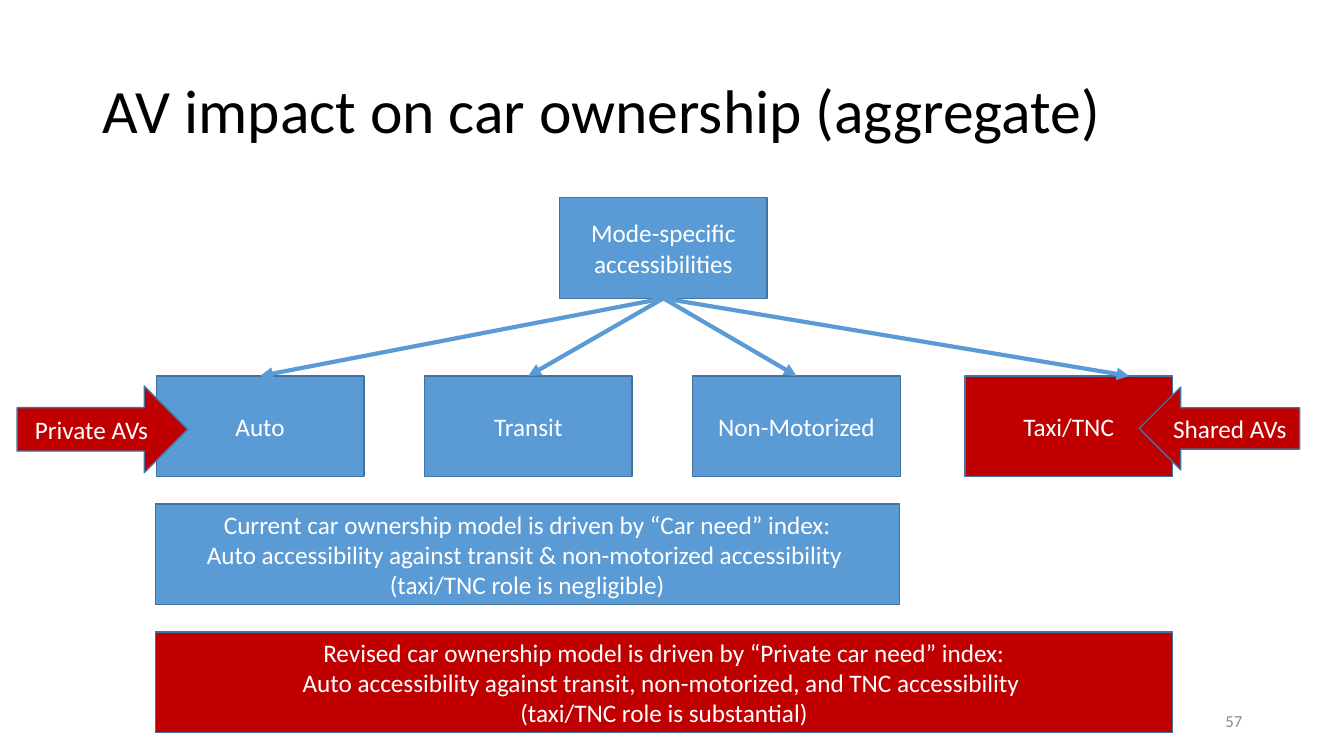
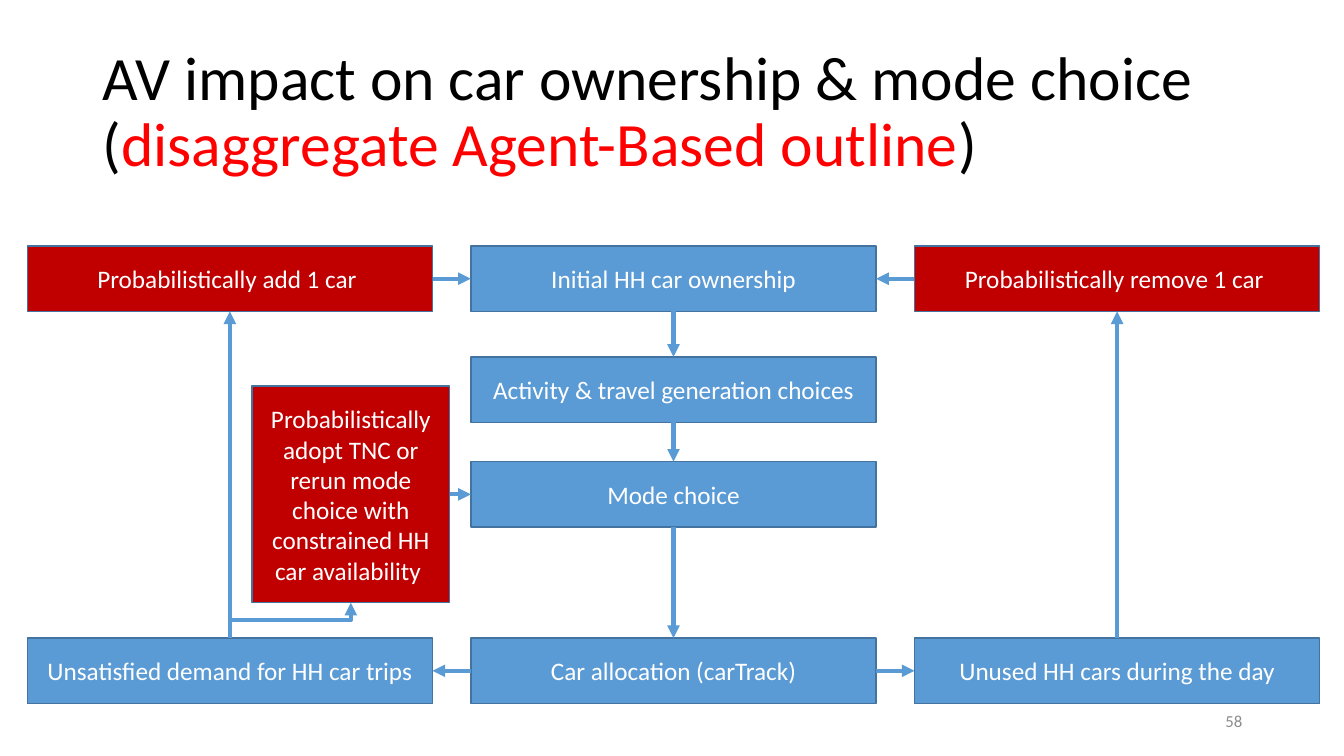
"""Build two slides on the impact of AVs on car ownership."""
from dataclasses import dataclass

from lxml import etree
from pptx import Presentation
from pptx.dml.color import RGBColor
from pptx.enum.shapes import MSO_CONNECTOR, MSO_SHAPE
from pptx.enum.text import MSO_ANCHOR, PP_ALIGN
from pptx.oxml.ns import qn
from pptx.shapes.autoshape import Shape
from pptx.shapes.connector import Connector
from pptx.slide import Slide
from pptx.text.text import TextFrame
from pptx.util import Inches, Pt

RECTANGLE = MSO_SHAPE.RECTANGLE
RIGHT_ARROW = MSO_SHAPE.RIGHT_ARROW
LEFT_ARROW = MSO_SHAPE.LEFT_ARROW
STRAIGHT = MSO_CONNECTOR.STRAIGHT
ELBOW = MSO_CONNECTOR.ELBOW
MIDDLE = MSO_ANCHOR.MIDDLE
CENTER = PP_ALIGN.CENTER
RIGHT_ALIGN = PP_ALIGN.RIGHT
TOP, LEFT, BOTTOM, RIGHT = range(4)

FONT = "Calibri"
BLUE, RED, OUTLINE = "5B9BD5", "C00000", "43739E"
WHITE, BLACK, GRAY, HIGHLIGHT = "FFFFFF", "000000", "8C8C8C", "FF0000"

MODE_WIDTH, MODE_HEIGHT, MODE_TOP = 2.06, 1.0, 3.73
STEP_WIDTH, STEP_HEIGHT = 4.02, 0.65
COLUMNS = [0.27 + 4.4 * index for index in range(3)]
FIRST_ROW, LAST_ROW = 2.44, 6.33


@dataclass(frozen=True)
class Box:
    """A filled shape with centred text; lengths are in inches."""

    text: str
    left: float
    top: float
    width: float
    height: float
    fill: str = BLUE
    kind: MSO_SHAPE = RECTANGLE


@dataclass(frozen=True)
class Link:
    """An arrow between the side middles of two named boxes."""

    start: str
    start_side: int
    end: str
    end_side: int


def color(value: str) -> RGBColor:
    """Return the colour for a hex string."""
    return RGBColor.from_string(value)


def prepare_frame(frame: TextFrame) -> None:
    """Wrap the text and anchor it in the middle."""
    frame.word_wrap = True
    frame.vertical_anchor = MIDDLE


def add_heading(slide: Slide, parts: list[tuple[str, str]], number: int) -> None:
    """Add the title, given as text and colour parts, and the slide number."""
    title = slide.shapes.add_textbox(Inches(0.92), Inches(0.4), Inches(11.5), Inches(1.45))
    prepare_frame(title.text_frame)
    paragraph = title.text_frame.paragraphs[0]
    paragraph.line_spacing = 0.9
    paragraph.font.name = FONT
    paragraph.font.size = Pt(44)
    for text, text_color in parts:
        run = paragraph.add_run()
        run.text = text
        run.font.color.rgb = color(text_color)

    footer = slide.shapes.add_textbox(Inches(9.42), Inches(6.95), Inches(3), Inches(0.4))
    prepare_frame(footer.text_frame)
    paragraph = footer.text_frame.paragraphs[0]
    paragraph.text = str(number)
    paragraph.alignment = RIGHT_ALIGN
    paragraph.font.name = FONT
    paragraph.font.size = Pt(12)
    paragraph.font.color.rgb = color(GRAY)


def add_box(slide: Slide, box: Box) -> Shape:
    """Draw one box with its text."""
    shape = slide.shapes.add_shape(
        box.kind, Inches(box.left), Inches(box.top), Inches(box.width), Inches(box.height)
    )
    shape.shadow.inherit = False
    shape.fill.solid()
    shape.fill.fore_color.rgb = color(box.fill)
    shape.line.color.rgb = color(OUTLINE)
    shape.line.width = Pt(1)
    prepare_frame(shape.text_frame)
    shape.text_frame.text = box.text
    for paragraph in shape.text_frame.paragraphs:
        paragraph.alignment = CENTER
        paragraph.font.name = FONT
        paragraph.font.size = Pt(18)
        paragraph.font.color.rgb = color(WHITE)
    return shape


def style_arrow(connector: Connector) -> None:
    """Give a connector its line, arrowhead and no shadow."""
    connector.line.color.rgb = color(BLUE)
    connector.line.width = Pt(3)
    line = connector.line._get_or_add_ln()
    etree.SubElement(line, qn("a:tailEnd"), type="triangle")
    etree.SubElement(connector.element.spPr, qn("a:effectLst"))


def add_link(slide: Slide, shapes: dict[str, Shape], link: Link) -> None:
    """Join two boxes with a straight arrow."""
    connector = slide.shapes.add_connector(STRAIGHT, 0, 0, 0, 0)
    connector.begin_connect(shapes[link.start], link.start_side)
    connector.end_connect(shapes[link.end], link.end_side)
    style_arrow(connector)


def add_rising_elbow(slide: Slide, start: Shape, end: Shape) -> None:
    """Draw a bent arrow from the top of one box to the bottom of another."""
    start_x, start_y = start.left + start.width // 2, start.top
    end_x, end_y = end.left + end.width // 2, end.top + end.height
    center_x, center_y = (start_x + end_x) // 2, (start_y + end_y) // 2
    half_run, half_rise = (end_x - start_x) // 2, (start_y - end_y) // 2
    connector = slide.shapes.add_connector(
        ELBOW,
        center_x + half_rise,
        center_y + half_run,
        center_x - half_rise,
        center_y - half_run,
    )
    connector.element.spPr.find(qn("a:xfrm")).set("rot", str(90 * 60000))
    style_arrow(connector)


def build_aggregate(slide: Slide) -> None:
    """Build the slide on the aggregate model."""
    add_heading(slide, [("AV impact on car ownership (aggregate)", BLACK)], 57)
    source = add_box(
        slide, Box("Mode-specific accessibilities", 5.55, 1.96, MODE_WIDTH, MODE_HEIGHT)
    )
    shapes = {"source": source}
    modes = [
        ("Auto", 1.55, BLUE),
        ("Transit", 4.21, BLUE),
        ("Non-Motorized", 6.87, BLUE),
        ("Taxi/TNC", 9.57, RED),
    ]
    for name, left, fill in modes:
        shapes[name] = add_box(
            slide, Box(name, left, MODE_TOP, MODE_WIDTH, MODE_HEIGHT, fill)
        )
    for name in ("Auto", "Transit", "Non-Motorized"):
        add_link(slide, shapes, Link("source", BOTTOM, name, TOP))
    taxi_arrow = slide.shapes.add_connector(
        STRAIGHT, 0, 0, Inches(11.2), Inches(MODE_TOP)
    )
    taxi_arrow.begin_connect(source, BOTTOM)
    style_arrow(taxi_arrow)

    current_model = "\n".join([
        "Current car ownership model is driven by “Car need” index:",
        "Auto accessibility against transit & non-motorized accessibility ",
        "(taxi/TNC role is negligible)",
    ])
    revised_model = "\n".join([
        "Revised car ownership model is driven by “Private car need” index:",
        "Auto accessibility against transit, non-motorized, and TNC accessibility ",
        "(taxi/TNC role is substantial)",
    ])
    for box in (
        Box("Private AVs", 0.17, 3.83, 1.69, 0.86, RED, RIGHT_ARROW),
        Box(current_model, 1.54, 5, 7.38, 1),
        Box(revised_model, 1.54, 6.27, 10.09, 1, RED),
        Box("Shared AVs", 11.3, 3.84, 1.59, 0.82, RED, LEFT_ARROW),
    ):
        add_box(slide, box)


def build_disaggregate(slide: Slide) -> None:
    """Build the slide on the agent-based outline."""
    add_heading(
        slide,
        [
            ("AV impact on car ownership & mode choice (", BLACK),
            ("disaggregate Agent-Based outline", HIGHLIGHT),
            (")", BLACK),
        ],
        58,
    )
    steps = [
        ("ownership", "Initial HH car ownership", 1, FIRST_ROW, BLUE),
        ("activity", "Activity & travel generation choices", 1, 3.54, BLUE),
        ("mode", "Mode choice", 1, 4.58, BLUE),
        ("allocation", "Car allocation (carTrack)", 1, LAST_ROW, BLUE),
        ("unused", "Unused HH cars during the day", 2, LAST_ROW, BLUE),
        ("unsatisfied", "Unsatisfied demand for HH car trips", 0, LAST_ROW, BLUE),
        ("remove", "Probabilistically remove 1 car ", 2, FIRST_ROW, RED),
        ("add", "Probabilistically add 1 car ", 0, FIRST_ROW, RED),
    ]
    shapes = {
        name: add_box(slide, Box(text, COLUMNS[column], top, STEP_WIDTH, STEP_HEIGHT, fill))
        for name, text, column, top, fill in steps
    }
    adopt_text = (
        "Probabilistically adopt TNC or rerun mode choice "
        "with constrained HH car availability "
    )
    shapes["adopt"] = add_box(slide, Box(adopt_text, 2.5, 3.83, 1.96, 2.15, RED))
    for link in (
        Link("allocation", RIGHT, "unused", LEFT),
        Link("allocation", LEFT, "unsatisfied", RIGHT),
        Link("unused", TOP, "remove", BOTTOM),
        Link("remove", LEFT, "ownership", RIGHT),
        Link("ownership", BOTTOM, "activity", TOP),
        Link("activity", BOTTOM, "mode", TOP),
        Link("mode", BOTTOM, "allocation", TOP),
        Link("add", RIGHT, "ownership", LEFT),
        Link("unsatisfied", TOP, "add", BOTTOM),
        Link("adopt", RIGHT, "mode", LEFT),
    ):
        add_link(slide, shapes, link)
    add_rising_elbow(slide, shapes["unsatisfied"], shapes["adopt"])


def main() -> None:
    """Create and save the presentation."""
    presentation = Presentation()
    presentation.slide_width = Inches(13.33)
    presentation.slide_height = Inches(7.5)
    blank_layout = presentation.slide_layouts[6]
    for build in (build_aggregate, build_disaggregate):
        build(presentation.slides.add_slide(blank_layout))
    presentation.save("out.pptx")


if __name__ == "__main__":
    main()
